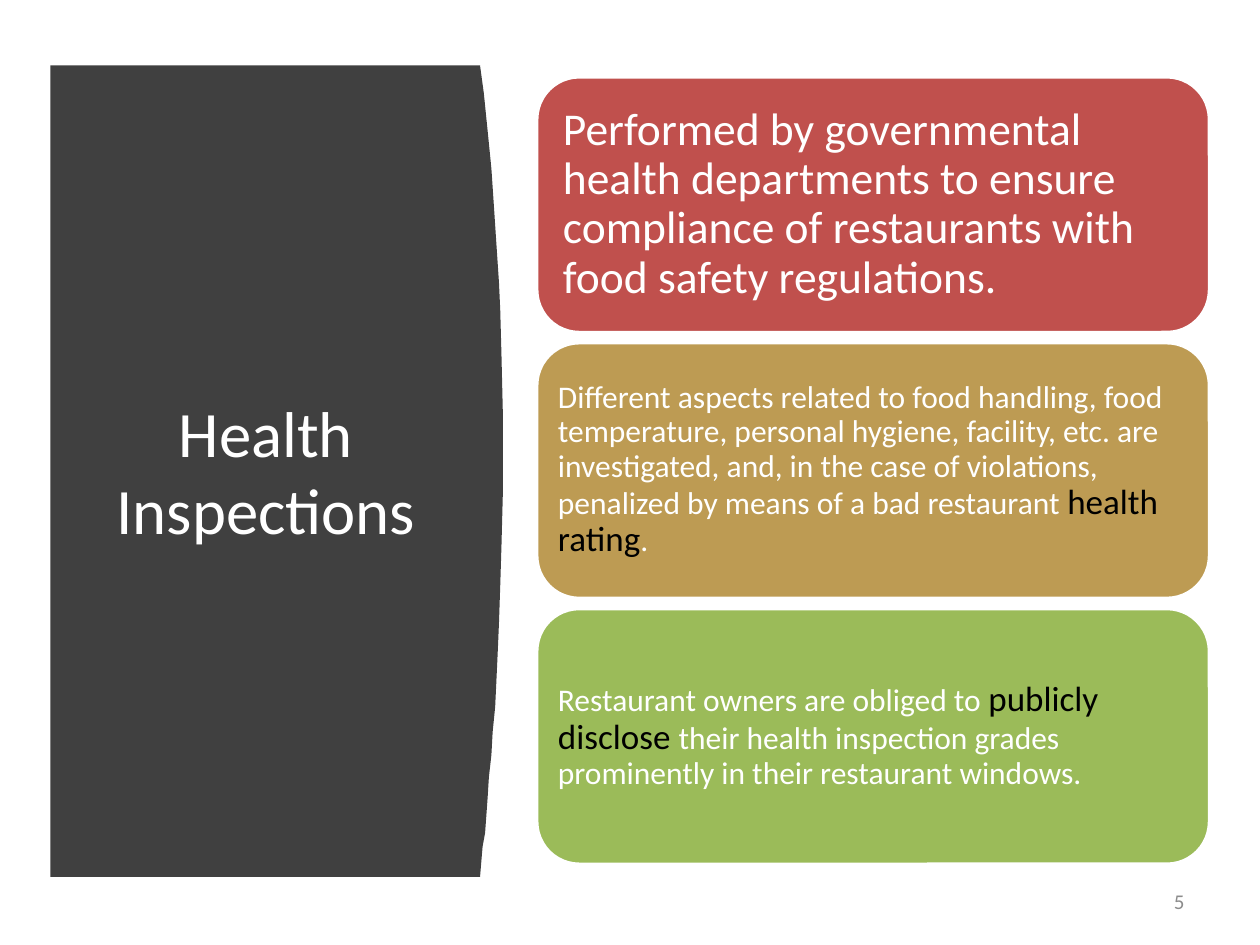
from dataclasses import dataclass

from pptx import Presentation
from pptx.dml.color import RGBColor
from pptx.enum.shapes import MSO_SHAPE
from pptx.enum.text import MSO_ANCHOR, PP_ALIGN
from pptx.util import Inches, Pt

ROUNDED = MSO_SHAPE.ROUNDED_RECTANGLE
MIDDLE = MSO_ANCHOR.MIDDLE
LEFT, CENTER, RIGHT = PP_ALIGN.LEFT, PP_ALIGN.CENTER, PP_ALIGN.RIGHT

WHITE = RGBColor(0xFF, 0xFF, 0xFF)
BLACK = RGBColor(0x00, 0x00, 0x00)
CHARCOAL = RGBColor(0x40, 0x40, 0x40)
GRAY = RGBColor(0x8C, 0x8C, 0x8C)
RED = RGBColor(0xC0, 0x50, 0x4D)
GOLD = RGBColor(0xBD, 0x9B, 0x53)
GREEN = RGBColor(0x9B, 0xBB, 0x59)
FONT = "Calibri"

PANEL_LEFT, PANEL_TOP, PANEL_BOTTOM = 0.4, 0.52, 6.96
PANEL_CURVE = [
    (3.81, 0.52), (3.84, 0.74), (3.87, 1.04), (3.9, 1.34), (3.92, 1.64),
    (3.94, 1.94), (3.96, 2.24), (3.97, 2.46), (3.98, 2.82), (3.99, 3.25),
    (3.99, 3.94), (3.98, 4.33), (3.97, 4.65), (3.96, 4.95), (3.95, 5.18),
    (3.94, 5.4), (3.93, 5.61), (3.91, 5.81), (3.9, 5.99), (3.88, 6.17),
    (3.87, 6.33), (3.85, 6.61), (3.83, 6.72), (3.81, 6.96),
]

CARD_LEFT, CARD_TOP = 4.26, 0.61
CARD_WIDTH, CARD_HEIGHT, CARD_PITCH = 5.34, 2.03, 2.11


@dataclass
class Span:
    text: str
    size: float
    color: RGBColor = WHITE


@dataclass
class Card:
    fill: RGBColor
    inset: float
    spans: list[Span]


CARDS = [
    Card(RED, 0.11, [
        Span("Performed by governmental health departments to ensure "
             "compliance of restaurants with food safety regulations.", 26),
    ]),
    Card(GOLD, 0.07, [
        Span("Different aspects related to food handling, food temperature, "
             "personal hygiene, facility, etc. are investigated, and, in the "
             "case of violations, penalized by means of a bad restaurant ", 18),
        Span("health rating", 20, BLACK),
        Span(".", 18),
    ]),
    Card(GREEN, 0.07, [
        Span("Restaurant owners are obliged to ", 18),
        Span("publicly disclose ", 20, BLACK),
        Span("their health inspection grades prominently in their "
             "restaurant windows.", 18),
    ]),
]


def write_spans(box, spans: list[Span], align: PP_ALIGN, line_spacing: float = 1.0) -> None:
    frame = box.text_frame
    frame.word_wrap = True
    frame.vertical_anchor = MIDDLE
    para = frame.paragraphs[0]
    para.alignment = align
    para.line_spacing = line_spacing
    for span in spans:
        run = para.add_run()
        run.text = span.text
        run.font.name = FONT
        run.font.size = Pt(span.size)
        run.font.color.rgb = span.color


def add_panel(slide) -> None:
    builder = slide.shapes.build_freeform(
        Inches(PANEL_LEFT), Inches(PANEL_TOP), scale=1.0)
    outline = PANEL_CURVE + [(PANEL_LEFT, PANEL_BOTTOM)]
    builder.add_line_segments([(Inches(x), Inches(y)) for x, y in outline])
    panel = builder.convert_to_shape()
    panel.shadow.inherit = False
    panel.fill.solid()
    panel.fill.fore_color.rgb = CHARCOAL
    panel.line.fill.background()


def add_title(slide) -> None:
    """Fill the title and bring it in front of the panel."""
    title = slide.shapes.title
    title.left, title.top = Inches(0.71), Inches(1.11)
    title.width, title.height = Inches(2.8), Inches(5.24)
    write_spans(title, [Span("Health Inspections", 37)], CENTER)
    title.element.getparent().append(title.element)


def add_card(slide, card: Card, top: float) -> None:
    box = slide.shapes.add_shape(
        ROUNDED, Inches(CARD_LEFT), Inches(top),
        Inches(CARD_WIDTH), Inches(CARD_HEIGHT))
    box.shadow.inherit = False
    box.fill.solid()
    box.fill.fore_color.rgb = card.fill
    box.line.color.rgb = WHITE
    box.line.width = Pt(2)
    frame = box.text_frame
    frame.margin_left = frame.margin_right = Inches(card.inset)
    frame.margin_top = frame.margin_bottom = Inches(card.inset)
    write_spans(box, card.spans, LEFT, 0.9)


def main() -> None:
    deck = Presentation()
    deck.slide_width, deck.slide_height = Inches(10), Inches(7.5)
    slide = deck.slides.add_slide(deck.slide_layouts.get_by_name("Title Only"))

    add_panel(slide)
    add_title(slide)
    for index, card in enumerate(CARDS):
        add_card(slide, card, CARD_TOP + index * CARD_PITCH)

    page_number = slide.shapes.add_textbox(
        Inches(7.17), Inches(6.95), Inches(2.33), Inches(0.4))
    write_spans(page_number, [Span("5", 12, GRAY)], RIGHT)

    deck.save("out.pptx")


if __name__ == "__main__":
    main()
